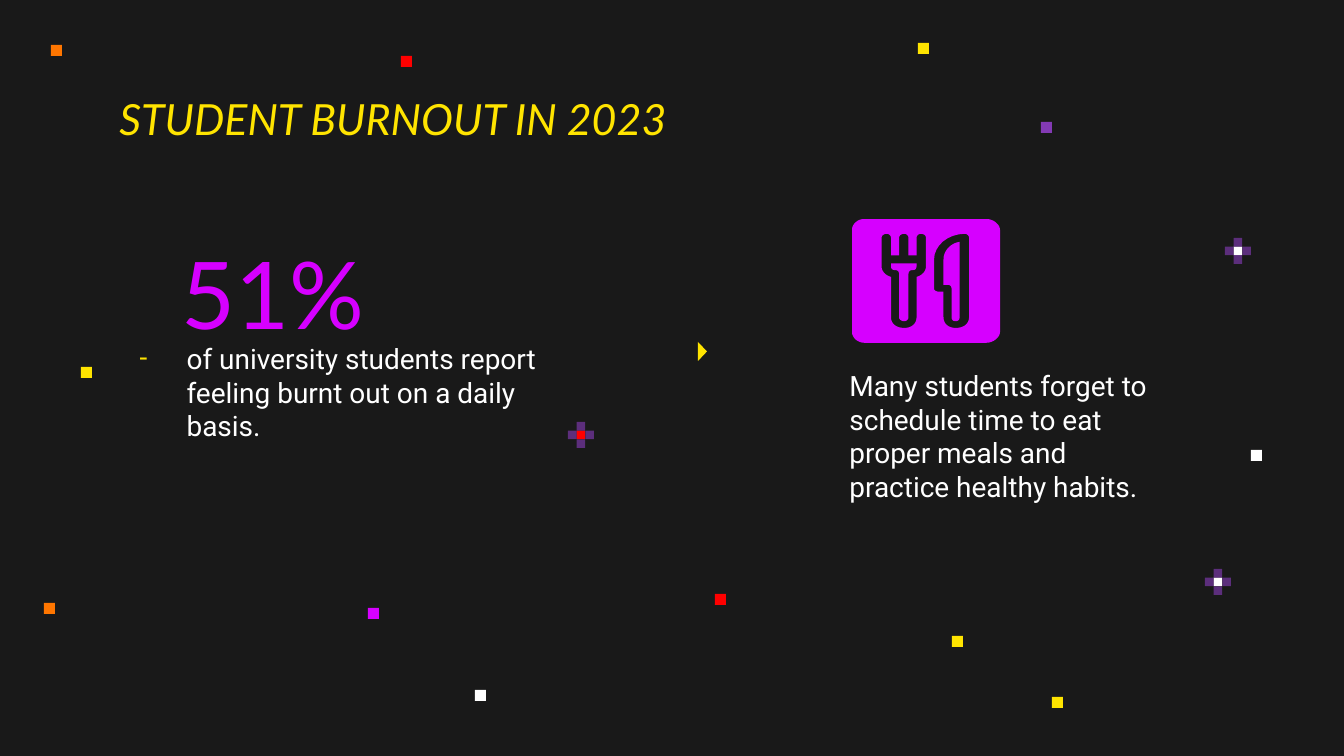
from lxml import etree
from pptx import Presentation
from pptx.dml.color import RGBColor
from pptx.enum.shapes import MSO_SHAPE as SHAPE
from pptx.enum.text import MSO_ANCHOR as ANCHOR, MSO_AUTO_SIZE as AUTO, PP_ALIGN as ALIGN
from pptx.oxml.ns import qn
from pptx.util import Inches, Pt

SLIDE_W, SLIDE_H = 1344, 756
SCALE = Inches(10) / SLIDE_W
DARK, WHITE, YELLOW, ORANGE = "191919", "FFFFFF", "FFE400", "FF7600"
RED, MAGENTA, PURPLE = "FF0000", "D600FF", "833AB4"

# Icon contours on a 110 x 92 grid: pairs are line ends, sextets are cubic curves
ICON_W = 110
BLADE = [(80, 17), (73, 18, 68, 24, 68, 30), (68, 49), (71, 49), (73, 49, 74, 50, 74, 52),
         (74, 73), (74, 75, 75, 76, 77, 76), (79, 76, 80, 75, 80, 73)]
HANDLE = [(29, 33), (29, 35), (29, 37, 30, 38, 32, 38), (34, 38, 35, 39, 35, 41),
          (35, 73), (35, 75, 37, 76, 39, 76), (40, 76, 42, 75, 42, 73),
          (42, 41), (42, 39, 43, 38, 45, 38), (47, 38, 48, 37, 48, 35), (48, 33)]
FORK = [(51, 11), (53, 11, 55, 12, 55, 14), (55, 35), (55, 39, 52, 42, 48, 43),
        (48, 73), (48, 78, 44, 81, 39, 81), (33, 81, 29, 78, 29, 73),
        (29, 43), (25, 42, 22, 39, 22, 35), (22, 14), (22, 12, 24, 11, 26, 11),
        (27, 11, 29, 12, 29, 14), (29, 27), (35, 27), (35, 14), (35, 12, 37, 11, 39, 11),
        (40, 11, 42, 12, 42, 14), (42, 27), (48, 27), (48, 14), (48, 12, 50, 11, 51, 11)]
KNIFE = [(84, 11), (85, 11, 87, 12, 87, 14), (87, 73), (87, 78, 83, 81, 77, 81),
         (72, 81, 68, 78, 68, 73), (68, 54), (64, 54), (63, 54, 61, 53, 61, 52),
         (61, 30), (61, 20, 71, 11, 84, 11)]
CARD = [(9, 0), (4, 0, 0, 4, 0, 8), (0, 84), (0, 88, 4, 92, 9, 92),
        (100, 92), (105, 92, 110, 88, 110, 84), (110, 8), (110, 4, 105, 0, 100, 0)]


def px(n):
    return round(n * SCALE)


def rgb(color):
    return RGBColor.from_string(color)


def paint(sp, color, alpha=None):
    sp.shadow.inherit = False
    sp.line.fill.background()
    sp.fill.solid()
    sp.fill.fore_color.rgb = rgb(color)
    if alpha:
        clr = sp.fill._xPr.find(".//" + qn("a:srgbClr"))
        etree.SubElement(clr, qn("a:alpha"), val=str(alpha * 1000))


def add_preset(shapes, kind, box, color, alpha=None):
    sp = shapes.add_shape(kind, *map(px, box))
    paint(sp, color, alpha)
    return sp


def add_sparkle(shapes, box, color):
    """A centre cell with four translucent arms on a 3 x 3 grid."""
    x, y, w, h = box
    cw, ch = w / 3, h / 3
    group = shapes.add_group_shape()
    for col, row in [(1, 1), (1, 0), (0, 1), (2, 1), (1, 2)]:
        cell = (x + col * cw, y + row * ch, cw, ch)
        if (col, row) == (1, 1):
            add_preset(group.shapes, SHAPE.RECTANGLE, cell, color)
        else:
            add_preset(group.shapes, SHAPE.RECTANGLE, cell, PURPLE, 64)


def flatten(contour, steps=8):
    """Turn lines and cubic curves into points, in hundredths of a grid unit."""
    points = [contour[0]]
    for seg in contour[1:]:
        if len(seg) == 2:
            points.append(seg)
            continue
        ctrl = [points[-1], seg[:2], seg[2:4], seg[4:]]
        for i in range(1, steps + 1):
            t = i / steps
            weights = ((1 - t) ** 3, 3 * t * (1 - t) ** 2, 3 * t * t * (1 - t), t ** 3)
            points.append(tuple(sum(k * c[axis] for k, c in zip(weights, ctrl))
                                for axis in (0, 1)))
    return [(round(x * 100), round(y * 100)) for x, y in points]


def add_meal_icon(shapes, box):
    x, y, w, _ = box
    group = shapes.add_group_shape()
    for contours in ([BLADE], [HANDLE], [FORK, KNIFE, CARD]):
        outlines = [flatten(c) for c in contours]
        builder = group.shapes.build_freeform(*outlines[0][0], scale=px(w) / ICON_W / 100)
        for i, points in enumerate(outlines):
            if i:
                builder.move_to(*points[0])
            builder.add_line_segments(points[1:], close=True)
        paint(builder.convert_to_shape(px(x), px(y)), MAGENTA)


def fill_text(sp, box, text, size, font, color, anchor=ANCHOR.TOP, italic=False):
    sp.left, sp.top, sp.width, sp.height = map(px, box)
    tf = sp.text_frame
    tf.word_wrap, tf.auto_size, tf.vertical_anchor = True, AUTO.NONE, anchor
    tf.margin_left = tf.margin_right = tf.margin_top = tf.margin_bottom = Inches(0.1)
    p = tf.paragraphs[0]
    p.alignment, p.space_before = ALIGN.LEFT, Pt(0)
    r = p.add_run()
    r.text = text
    r.font.size, r.font.name, r.font.color.rgb = Pt(size), font, rgb(color)
    r.font.bold, r.font.italic = False, italic
    return p


def add_dash(p, color, font):
    pPr = p._p.get_or_add_pPr()
    pPr.set("marL", str(Inches(0.5)))
    pPr.set("indent", str(-Inches(0.35)))
    clr = etree.SubElement(pPr, qn("a:buClr"))
    etree.SubElement(clr, qn("a:srgbClr"), val=color)
    etree.SubElement(pPr, qn("a:buFont"), typeface=font)
    etree.SubElement(pPr, qn("a:buChar"), char="-")


def add_stars(shapes, box):
    x, y, _, _ = box
    squares = [(401, 56, RED), (81, 367, YELLOW), (51, 45, ORANGE), (44, 603, ORANGE),
               (918, 43, YELLOW), (1251, 450, WHITE), (475, 690, WHITE), (1052, 697, YELLOW),
               (715, 594, RED), (368, 608, MAGENTA), (952, 636, YELLOW), (1041, 122, PURPLE)]
    for dx, dy, color in squares:
        add_preset(shapes, SHAPE.RECTANGLE, (x + dx, y + dy, 11, 11), color)
    for dx, dy, color in [(1205, 569, WHITE), (1225, 238, WHITE), (568, 422, RED)]:
        add_sparkle(shapes, (x + dx, y + dy, 26, 26), color)


def add_statistic(number, detail, box):
    x, y, w, _ = box
    fill_text(number, (x + 62, y, w, 124), "51%", 50, "Lato", MAGENTA, ANCHOR.BOTTOM)
    p = fill_text(detail, (x, y + 90, 462, 215),
                  "of university students report feeling burnt out on a daily basis.",
                  15, "Roboto", WHITE)
    add_dash(p, YELLOW, "Roboto")


def add_meals(shapes, body, box):
    x, y, w, _ = box
    fill_text(body, (x, y + 136, w, 156),
              "Many students forget to schedule time to eat proper meals "
              "and practice healthy habits.", 15, "Roboto", WHITE)
    add_meal_icon(shapes, (x + 16, y, 148, 124))


def main():
    prs = Presentation()
    prs.slide_width, prs.slide_height = px(SLIDE_W), px(SLIDE_H)
    slide = prs.slides.add_slide(prs.slide_layouts[4])
    slide.background.fill.solid()
    slide.background.fill.fore_color.rgb = rgb(DARK)
    shapes = slide.shapes
    holders = {sp.placeholder_format.idx: sp for sp in slide.placeholders}
    spare = holders[4]._element
    spare.getparent().remove(spare)

    # Title and both columns
    fill_text(shapes.title, (106, 79, 1133, 67), "STUDENT BURNOUT IN 2023",
              23, "Lato", YELLOW, italic=True)
    add_statistic(holders[1], holders[2], (106, 238, 591, 305))
    add_meals(shapes, holders[3], (836, 219, 329, 292))

    # Pointer between the columns, then the star field
    pointer = add_preset(shapes, SHAPE.ISOSCELES_TRIANGLE, (693, 347, 19, 9), YELLOW)
    pointer.rotation = 90
    add_stars(shapes, (0, 0, SLIDE_W, SLIDE_H))
    prs.save("out.pptx")


if __name__ == "__main__":
    main()
